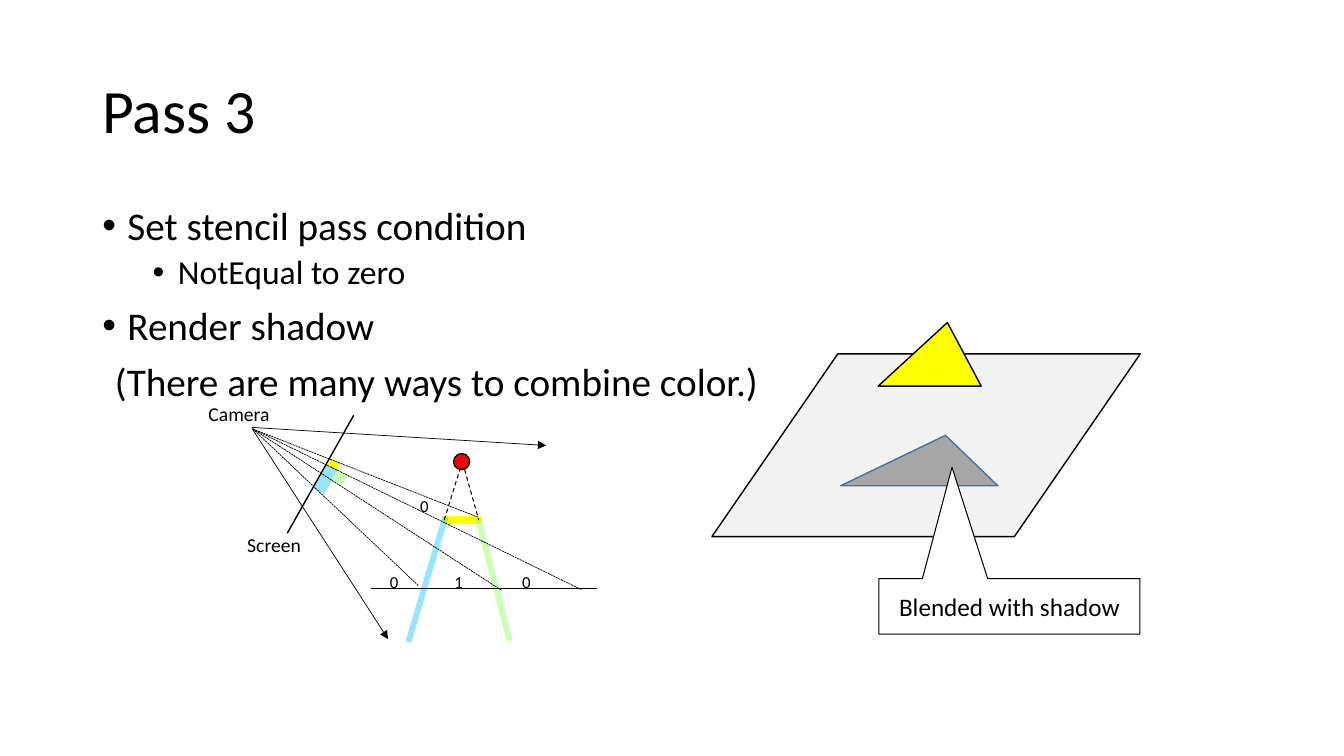
from lxml.etree import SubElement
from pptx import Presentation
from pptx.dml.color import RGBColor
from pptx.enum.dml import MSO_LINE_DASH_STYLE as DASH
from pptx.enum.shapes import MSO_CONNECTOR, MSO_SHAPE as SHAPE
from pptx.enum.text import MSO_ANCHOR as ANCHOR, PP_ALIGN as ALIGN
from pptx.oxml.ns import qn
from pptx.util import Pt

COLORS = {
    "black": "000000", "white": "FFFFFF", "plane": "F2F2F2",
    "yellow": "FFFF00", "red": "FF0000", "shadow": "A6A6A6",
    "shadow edge": "43739E", "front face": "33CCFF", "back face": "99FF66",
}
RGB = {name: RGBColor.from_string(code) for name, code in COLORS.items()}

prs = Presentation()
prs.slide_width, prs.slide_height = Pt(960), Pt(540)
slide = prs.slides.add_slide(prs.slide_layouts[6])
shapes = slide.shapes


def paint(shape, fill, edge=None, width=1):
    """Fill and outline a shape without a shadow."""
    shape.shadow.inherit = False
    shape.fill.solid()
    shape.fill.fore_color.rgb = RGB[fill]
    if edge:
        shape.line.color.rgb = RGB[edge]
        shape.line.width = Pt(width)
    else:
        shape.line.fill.background()
    return shape


def write(shape, lines, sizes, anchor=ANCHOR.TOP, align=ALIGN.LEFT, wrap=True):
    """Set the lines of text, each in its own size."""
    frame = shape.text_frame
    frame.text = "\n".join(lines)
    frame.word_wrap = wrap
    frame.vertical_anchor = anchor
    for paragraph, size in zip(frame.paragraphs, sizes):
        paragraph.alignment = align
        font = paragraph.runs[0].font
        font.name, font.size, font.color.rgb = "Calibri", Pt(size), RGB["black"]
    return frame


# Title and bullets
title = shapes.add_textbox(Pt(66), Pt(28.8), Pt(828), Pt(104.4))
write(title, ["Pass 3"], [44], ANCHOR.MIDDLE).paragraphs[0].line_spacing = 0.9

# text, size, space before, left margin, indent
steps = [
    ("Set stencil pass condition", 28, 10, 18, -18),
    ("NotEqual to zero", 24, 5, 54, -18),
    ("Render shadow", 28, 10, 18, -18),
    ("(There are many ways to combine color.)", 28, 10, 9, 0),
]
body = shapes.add_textbox(Pt(66), Pt(144), Pt(828), Pt(342.7))
frame = write(body, [step[0] for step in steps], [step[1] for step in steps])
for paragraph, (_, _, before, margin, indent) in zip(frame.paragraphs, steps):
    paragraph.line_spacing = 0.9
    paragraph.space_before = Pt(before)
    properties = paragraph._p.get_or_add_pPr()
    properties.set("marL", str(Pt(margin)))
    properties.set("indent", str(Pt(indent)))
    if indent:
        SubElement(properties, qn("a:buFont"), typeface="Arial")
        SubElement(properties, qn("a:buChar"), char="•")

# Plane with the triangle and its shadow
plane = shapes.add_shape(SHAPE.PARALLELOGRAM, Pt(512.6), Pt(254.9), Pt(306), Pt(130.5))
plane.left, plane.top = Pt(508.5), Pt(252.8)
plane.adjustments[0] = 0.689
paint(plane, "plane", "black")

caster = shapes.add_shape(SHAPE.ISOSCELES_TRIANGLE, Pt(627.3), Pt(230.4), Pt(73.6), Pt(45.4))
caster.adjustments[0] = 0.672
paint(caster, "yellow", "black")

outline = shapes.build_freeform(Pt(675.4), Pt(311))
outline.add_line_segments([(Pt(600.5), Pt(347)), (Pt(712.8), Pt(347))], close=True)
paint(outline.convert_to_shape(), "shadow", "shadow edge")

callout = shapes.add_shape(SHAPE.RECTANGULAR_CALLOUT, Pt(627.8), Pt(413.3), Pt(186.5), Pt(39.6))
callout.adjustments[0], callout.adjustments[1] = -0.22, -2.509
paint(callout, "white", "black", 0.75)
write(callout, ["Blended with shadow"], [18], ANCHOR.MIDDLE, ALIGN.CENTER)

# Lines of the side view: from, to, width, dash, arrowhead
eye = (180.6, 306.4)
lines = [
    ((180, 306), (277.2, 456.5), 0.5, None, True),
    ((180, 305.3), (390.2, 318.2), 0.5, None, True),
    ((265, 420.5), (426.2, 420.5), 1, None, False),
    ((205.2, 380.9), (252.7, 296.6), 1, None, False),
    ((330.5, 329), (316.8, 373), 0.75, DASH.DASH, False),
    ((330.5, 330.5), (342, 371.5), 0.75, DASH.DASH, False),
]
ray_ends = [(298.8, 418.3), (415.4, 421.2), (341.3, 369.4), (358.6, 421.9)]
lines += [(eye, end, 0.5, DASH.SQUARE_DOT, False) for end in ray_ends]

# Faces of the shadow volume and their images on the screen:
# left, top, width, height, rotation, color, see-through
faces = [
    (316.1, 368.6, 27.4, 5.8, 0, "yellow", False),
    (258.5, 411.8, 92.9, 4.3, 286.5, "front face", True),
    (307.4, 411.8, 90.7, 4.3, 75.5, "back face", True),
    (222.5, 337.7, 20.2, 8.6, 297.7, "front face", True),
    (239, 337, 7.2, 8.6, 297.7, "back face", True),
    (236.2, 327.6, 5, 7.9, 297.7, "yellow", False),
]
for left, top, width, height, rotation, color, see_through in faces:
    face = shapes.add_shape(SHAPE.RECTANGLE, Pt(left), Pt(top), Pt(width), Pt(height))
    face.rotation = rotation
    paint(face, color)
    if see_through:
        fill_color = face.element.spPr.find(qn("a:solidFill")).find(qn("a:srgbClr"))
        SubElement(fill_color, qn("a:alpha"), val="50000")

for start, end, width, dash, arrow in lines:
    line = shapes.add_connector(MSO_CONNECTOR.STRAIGHT, *map(Pt, start + end))
    line.line.color.rgb = RGB["black"]
    line.line.width = Pt(width)
    if dash:
        line.line.dash_style = dash
    if arrow:
        SubElement(line.line._get_or_add_ln(), qn("a:tailEnd"), type="triangle")
    SubElement(line.element.spPr, qn("a:effectLst"))

light = shapes.add_shape(SHAPE.OVAL, Pt(324), Pt(324), Pt(11.5), Pt(11.5))
paint(light, "red", "black")

# Names and stencil values
labels = [
    ("Camera", 141.8, 283.7, 59, 24.5, 14),
    ("Screen", 169.2, 377.3, 53.3, 24.5, 14),
    ("0", 271.4, 404.6, 20.9, 21.6, 12),
    ("1", 317.5, 404.6, 20.9, 21.6, 12),
    ("0", 365.8, 404.6, 20.9, 21.6, 12),
    ("0", 293, 350.6, 20.9, 21.6, 12),
]
for text, left, top, width, height, size in labels:
    label = shapes.add_textbox(Pt(left), Pt(top), Pt(width), Pt(height))
    align = ALIGN.CENTER if text == "Screen" else ALIGN.LEFT
    write(label, [text], [size], align=align, wrap=False)

prs.save("out.pptx")
